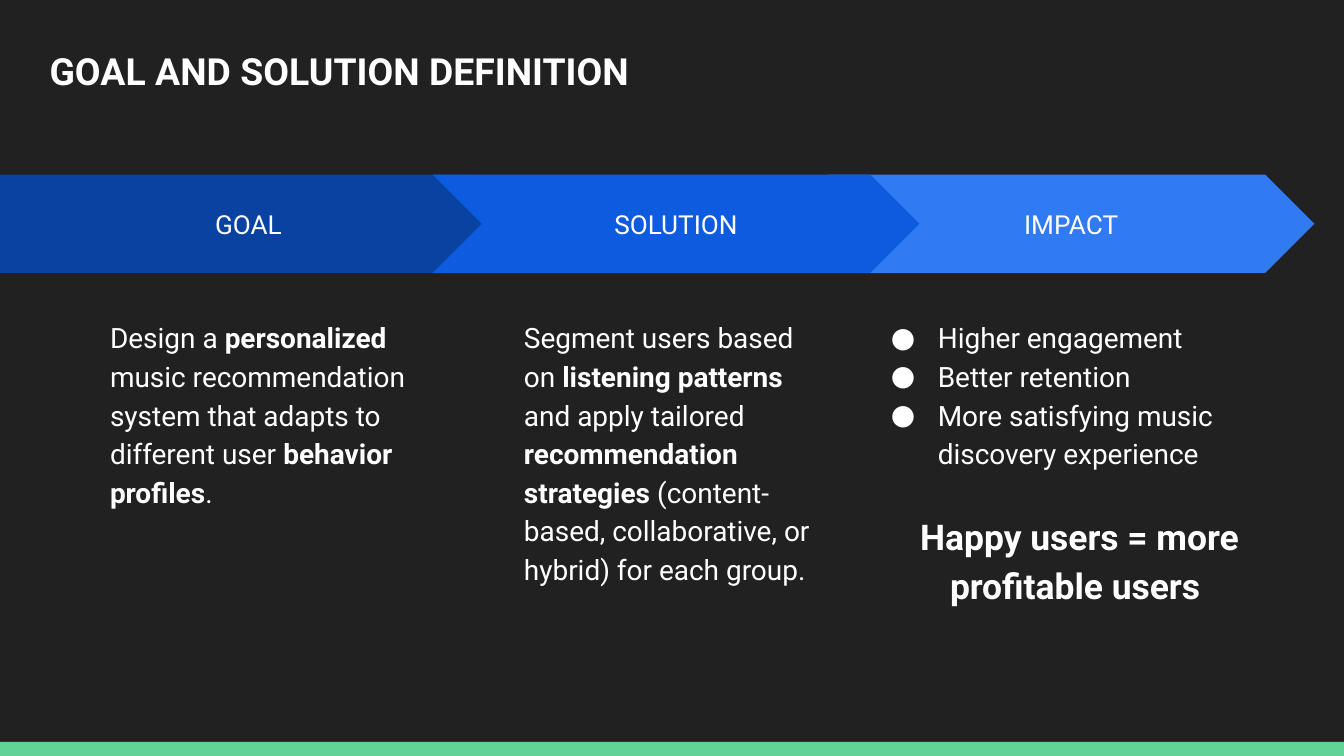
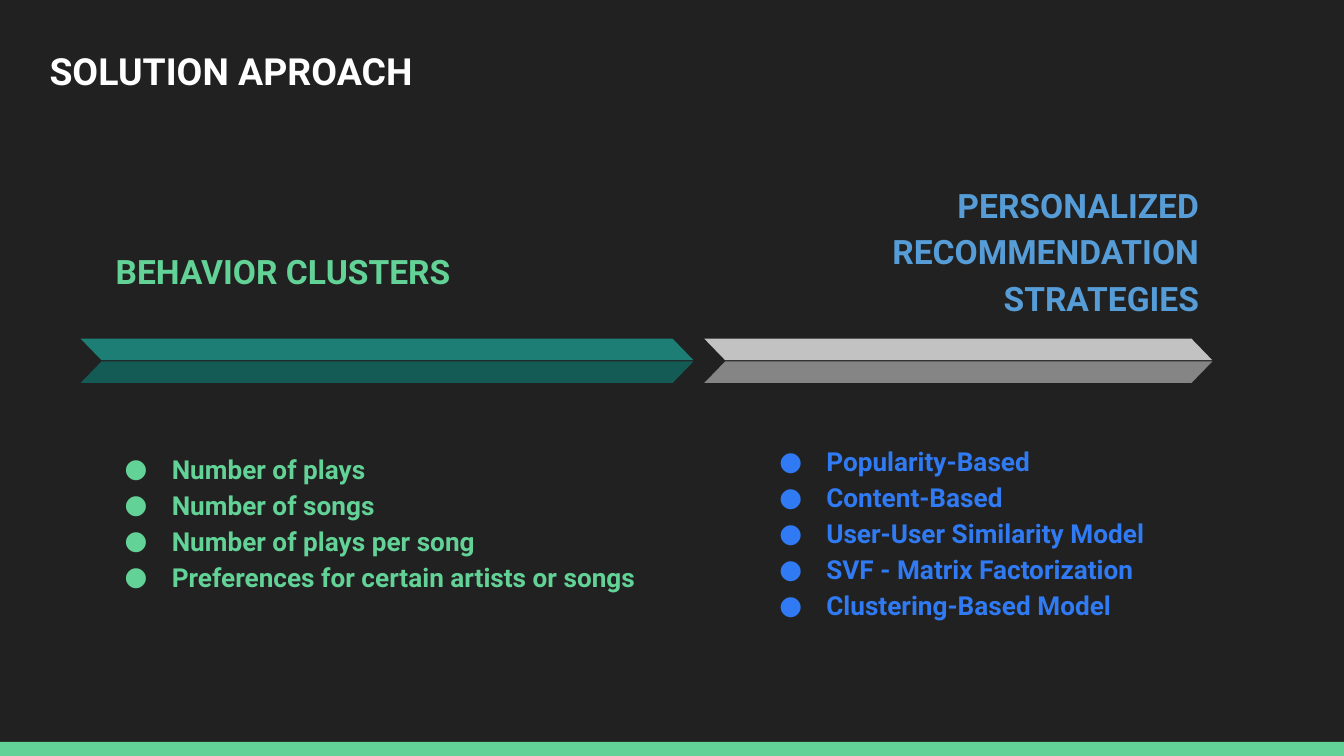
from lxml.etree import SubElement
from pptx import Presentation
from pptx.dml.color import RGBColor
from pptx.enum.shapes import MSO_SHAPE as Preset
from pptx.enum.text import MSO_ANCHOR as Anchor, PP_ALIGN as Align
from pptx.oxml.ns import qn
from pptx.util import Inches, Pt

WIDTH = Inches(10)
HEIGHT = WIDTH * 9 // 16
CELL = WIDTH / 100  # side of a square grid cell
FONT = "Roboto"

CHARCOAL = RGBColor(0x21, 0x21, 0x21)
WHITE = RGBColor(0xFF, 0xFF, 0xFF)
GREEN = RGBColor(0x63, 0xD2, 0x97)
NAVY = RGBColor(0x09, 0x42, 0xA1)
BLUE = RGBColor(0x0D, 0x5C, 0xDF)
BRIGHT_BLUE = RGBColor(0x30, 0x7A, 0xF3)
SKY = RGBColor(0x56, 0x9C, 0xD6)
TEAL = RGBColor(0x1D, 0x7E, 0x75)
DARK_TEAL = RGBColor(0x15, 0x5B, 0x55)
SILVER = RGBColor(0xC2, 0xC2, 0xC2)
GREY = RGBColor(0x85, 0x85, 0x85)


def cells(*counts):
    return [round(count * CELL) for count in counts]


def add_preset(slide, preset, area, color, adjustment=None):
    shape = slide.shapes.add_shape(preset, *cells(*area))
    shape.shadow.inherit = False
    shape.fill.solid()
    shape.fill.fore_color.rgb = color
    shape.line.fill.background()
    if adjustment is not None:
        shape.adjustments[0] = adjustment
    return shape


def prepare_frame(shape, anchor=Anchor.TOP):
    frame = shape.text_frame
    frame.word_wrap = True
    frame.vertical_anchor = anchor
    frame.margin_left = frame.margin_right = Inches(0.1)
    frame.margin_top = frame.margin_bottom = Inches(0.1)
    return frame


def add_text_area(slide, area, anchor=Anchor.TOP):
    return prepare_frame(slide.shapes.add_textbox(*cells(*area)), anchor)


def write(paragraph, runs, size, color=WHITE, align=Align.LEFT, spacing=1.15):
    """Fill a paragraph with (text, bold) runs."""
    paragraph.alignment = align
    paragraph.line_spacing = spacing
    for text, bold in runs:
        run = paragraph.add_run()
        run.text = text
        run.font.name = FONT
        run.font.size = Pt(size)
        run.font.bold = bold
        run.font.color.rgb = color


def add_bullet(paragraph, color):
    properties = paragraph._p.get_or_add_pPr()
    properties.set("marL", str(Inches(0.5)))
    properties.set("indent", str(Inches(-0.35)))
    bullet_color = SubElement(properties, qn("a:buClr"))
    SubElement(bullet_color, qn("a:srgbClr")).set("val", str(color))
    SubElement(properties, qn("a:buFont")).set("typeface", FONT)
    SubElement(properties, qn("a:buChar")).set("char", "●")


def write_bullets(frame, items, size, color=WHITE, bold=False):
    for index, item in enumerate(items):
        paragraph = frame.add_paragraph() if index else frame.paragraphs[0]
        write(paragraph, [(item, bold)], size, color)
        add_bullet(paragraph, color)


def add_base_slide(deck, title):
    slide = deck.slides.add_slide(deck.slide_layouts[6])
    slide.background.fill.solid()
    slide.background.fill.fore_color.rgb = CHARCOAL
    add_preset(slide, Preset.RECTANGLE, (0, 55.2, 100, 1.05), GREEN)
    frame = add_text_area(slide, (2.7, 2.6, 88.8, 6.9))
    write(frame.paragraphs[0], [(title, True)], 20, spacing=1)
    return slide


def add_stage(slide, preset, left, width, label, color):
    stage = add_preset(slide, preset, (left, 13, width, 7.3), color, 0.5)
    frame = prepare_frame(stage, Anchor.MIDDLE)
    write(frame.paragraphs[0], [(label, False)], 14, align=Align.CENTER, spacing=1)


def add_stage_text(slide, left, width=24.5):
    return add_text_area(slide, (left, 22.5, width, 28.6))


def add_goal_slide(deck):
    slide = add_base_slide(deck, "GOAL AND SOLUTION DEFINITION")
    chevron_left, chevron_step, chevron_width = 32.2, 29.4, 36.2

    # Later stages overlap earlier ones, so the drawing order matters.
    add_stage(slide, Preset.CHEVRON, chevron_left + chevron_step, chevron_width,
              "IMPACT", BRIGHT_BLUE)
    impact = add_stage_text(slide, 63.8, 32.4)
    write_bullets(impact, ["Higher engagement", "Better retention",
                           "More satisfying music discovery experience"], 15)
    conclusion = impact.add_paragraph()
    write(conclusion, [(" Happy users = more profitable users", True)], 19,
          align=Align.CENTER)
    conclusion.space_before = Pt(20.7)

    add_stage(slide, Preset.PENTAGON, 0, 38.8, "GOAL", NAVY)
    goal = add_stage_text(slide, 7.2)
    write(goal.paragraphs[0], [
        ("Design a ", False),
        ("personalized ", True),
        ("music recommendation system that adapts to different user ", False),
        ("behavior profiles", True),
        (".", False),
    ], 15)

    add_stage(slide, Preset.CHEVRON, chevron_left, chevron_width, "SOLUTION", BLUE)
    solution = add_stage_text(slide, 38)
    write(solution.paragraphs[0], [
        ("Segment users based on ", False),
        ("listening patterns ", True),
        ("and apply tailored ", False),
        ("recommendation strategies ", True),
        ("(content-based, collaborative, or hybrid) for each group.", False),
    ], 15)


def add_folded_arrow(slide, left, width, upper_color, lower_color):
    """Two mirrored parallelograms that meet along a thin gap."""
    upper, _ = [
        add_preset(slide, Preset.PARALLELOGRAM, (left, top, width, 1.6), color, 0.97)
        for top, color in ((25.2, upper_color), (26.9, lower_color))
    ]
    upper._element.spPr.xfrm.set("flipH", "1")


def add_heading(slide, area, text, color):
    paragraph = add_text_area(slide, area).paragraphs[0]
    write(paragraph, [(text, True)], 18, color, Align.RIGHT)
    paragraph.space_after = Pt(16)


def add_bold_list(slide, area, items, color):
    write_bullets(add_text_area(slide, area, Anchor.BOTTOM), items, 14, color, True)


def add_approach_slide(deck):
    slide = add_base_slide(deck, "SOLUTION APROACH")

    add_heading(slide, (3.5, 17.2, 31, 4.9), "BEHAVIOR CLUSTERS", GREEN)
    add_bold_list(slide, (6.8, 29.5, 45.6, 15.6), [
        "Number of plays",
        "Number of songs",
        "Number of plays per song",
        "Preferences for certain artists or songs",
    ], GREEN)
    add_folded_arrow(slide, 6, 45.6, TEAL, DARK_TEAL)

    add_heading(slide, (52.4, 12.3, 37.8, 11.7),
                "PERSONALIZED RECOMMENDATION STRATEGIES", SKY)
    add_bold_list(slide, (55.5, 29.5, 31, 17.7), [
        "Popularity-Based",
        "Content-Based",
        "User-User Similarity Model",
        "SVF - Matrix Factorization",
        "Clustering-Based Model",
    ], BRIGHT_BLUE)
    add_folded_arrow(slide, 52.4, 37.8, SILVER, GREY)


def main():
    deck = Presentation()
    deck.slide_width, deck.slide_height = WIDTH, HEIGHT
    add_goal_slide(deck)
    add_approach_slide(deck)
    deck.save("out.pptx")


if __name__ == "__main__":
    main()
